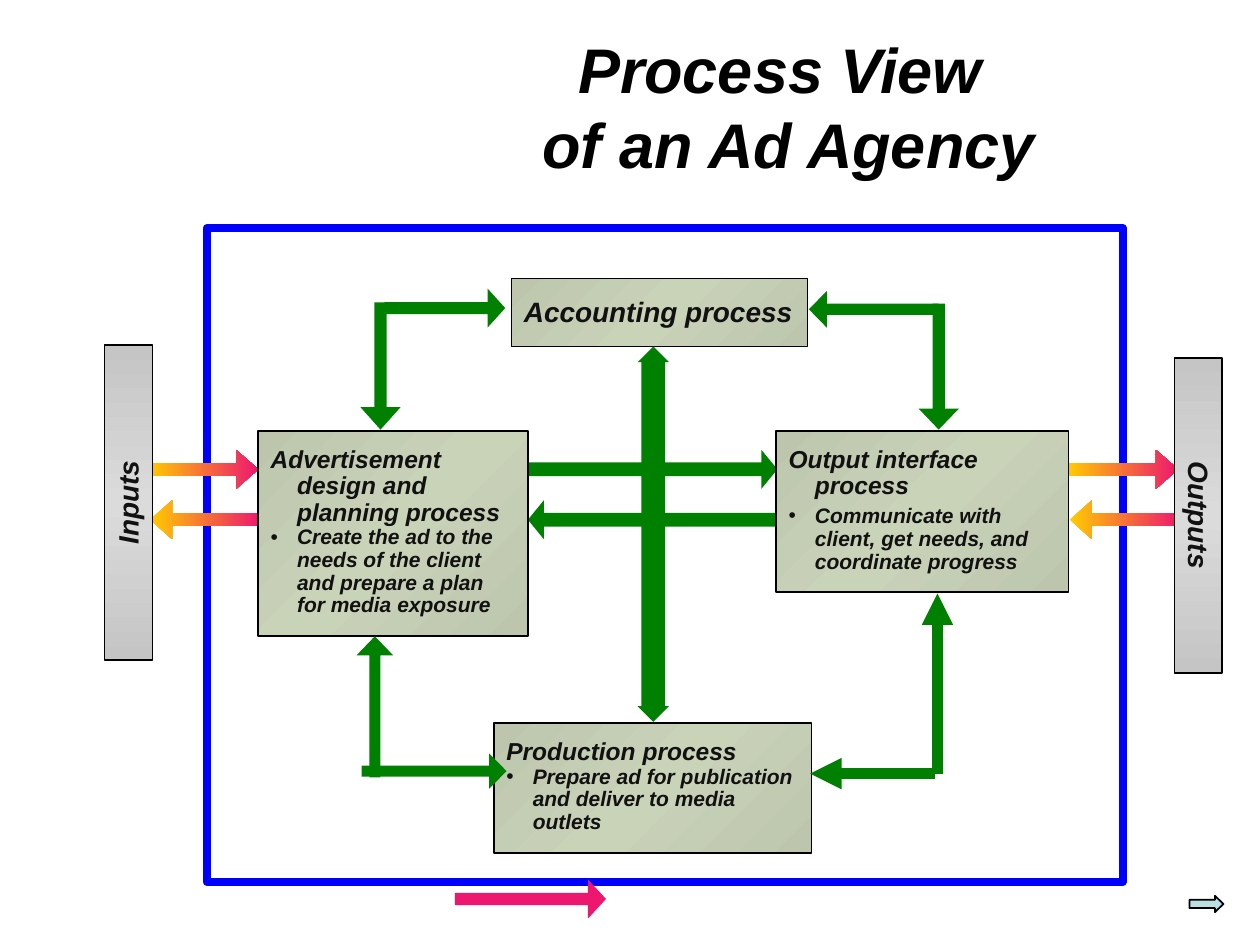
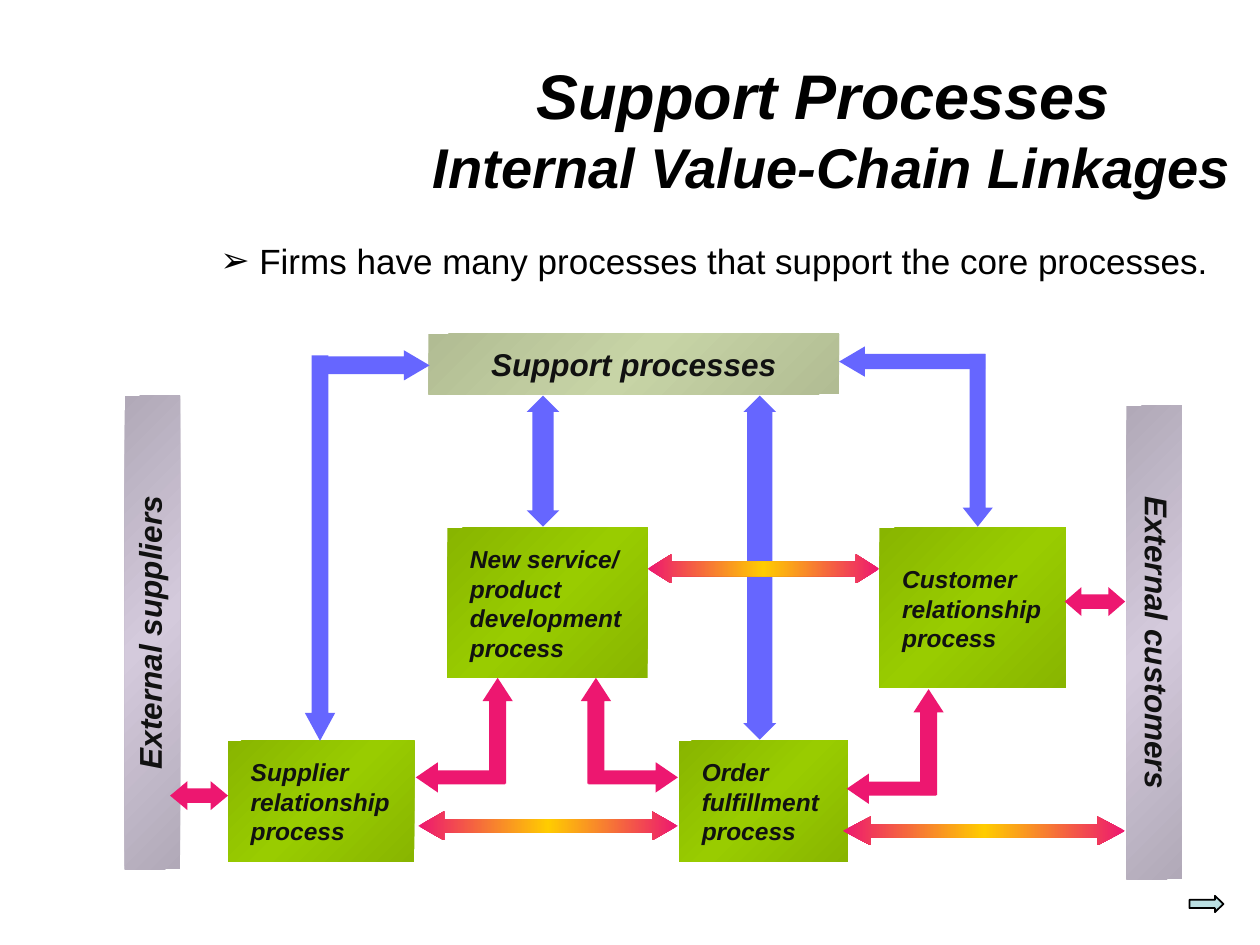
from dataclasses import dataclass

from lxml.etree import SubElement
from pptx import Presentation
from pptx.dml.color import RGBColor
from pptx.enum.shapes import MSO_CONNECTOR, MSO_SHAPE as SHAPE
from pptx.enum.text import MSO_ANCHOR as ANCHOR, MSO_AUTO_SIZE, PP_ALIGN as ALIGN
from pptx.oxml.ns import qn
from pptx.util import Inches, Pt


@dataclass(frozen=True)
class Gradient:
    colors: tuple
    angle: int = 0


@dataclass(frozen=True)
class Theme:
    font: str = "Arial"
    black: str = "000000"
    ink: str = "111111"
    frame: str = "0000FF"
    green: str = "008000"
    blue: str = "6666FF"
    pink: str = "ED1770"
    next_fill: str = "BBE0E3"
    flow: Gradient = Gradient(("FFCC00", "ED1770"))
    exchange: Gradient = Gradient(("ED1770", "FFCC00", "ED1770"))
    sage: Gradient = Gradient(("BDC6AD", "C9D3B8", "BDC6AD"), 45)
    silver: Gradient = Gradient(("C5C5C5", "DBDBDB", "C5C5C5"), 90)
    mauve: Gradient = Gradient(("B1A9B8", "D4CADC", "B1A9B8"), 45)
    olive: Gradient = Gradient(("B1BC93", "C7D4A6", "B1BC93"), 45)
    lime: Gradient = Gradient(("88B500", "99CC00", "88B500"), 45)
    title: int = 36
    subtitle: int = 32
    lead: int = 20
    banner: int = 18
    label: int = 16
    heading: int = 14
    detail: int = 12


THEME = Theme()
RIGHT, LEFT, UP, DOWN = (SHAPE.RIGHT_ARROW, SHAPE.LEFT_ARROW,
                         SHAPE.UP_ARROW, SHAPE.DOWN_ARROW)
ACROSS, UPRIGHT = SHAPE.LEFT_RIGHT_ARROW, SHAPE.UP_DOWN_ARROW


def inches(values):
    return [Inches(value) for value in values]


def paint(shape, fill):
    """Fill with a plain colour or with an evenly stepped Gradient."""
    if isinstance(fill, str):
        shape.fill.solid()
        shape.fill.fore_color.rgb = RGBColor.from_string(fill)
        return
    shape.fill.gradient()
    grad = shape.element.spPr.find(qn("a:gradFill"))
    for child in list(grad):
        grad.remove(child)
    grad.set("rotWithShape", "0")
    stops = SubElement(grad, qn("a:gsLst"))
    for index, color in enumerate(fill.colors):
        position = 100000 * index // (len(fill.colors) - 1)
        stop = SubElement(stops, qn("a:gs"), pos=str(position))
        SubElement(stop, qn("a:srgbClr"), val=color)
    SubElement(grad, qn("a:lin"), ang=str(fill.angle * 60000), scaled="0")


def outline(shape, color, width):
    shape.line.color.rgb = RGBColor.from_string(color)
    shape.line.width = Pt(width)


def add_block(slide, kind, box, fill, outlined=False):
    shape = slide.shapes.add_shape(kind, *inches(box))
    shape.shadow.inherit = False
    paint(shape, fill)
    if outlined:
        outline(shape, THEME.black, 1)
    else:
        shape.line.fill.background()
    return shape


def add_arrow(slide, kind, box, fill, shaft, head, outlined=False):
    """Shaft and head are shares of the arrow's shorter side."""
    arrow = add_block(slide, kind, box, fill, outlined)
    arrow.adjustments[0] = shaft
    arrow.adjustments[1] = head


def add_run(paragraph, text, size, color=THEME.ink, strong=True):
    run = paragraph.add_run()
    run.text = text
    font = run.font
    font.name, font.size = THEME.font, Pt(size)
    font.bold = font.italic = strong
    font.color.rgb = RGBColor.from_string(color)


def hang(paragraph, indent, bullet=None):
    props = paragraph._p.get_or_add_pPr()
    props.set("marL", str(Inches(indent)))
    props.set("indent", str(-Inches(indent)))
    if bullet:
        SubElement(props, qn("a:buFont"), typeface=THEME.font)
        SubElement(props, qn("a:buChar"), char=bullet)


def set_frame(shape, inset_x=0.1, inset_y=0.05, anchor=ANCHOR.TOP, wrap=True):
    frame = shape.text_frame
    frame.word_wrap = wrap
    frame.auto_size = MSO_AUTO_SIZE.NONE
    frame.vertical_anchor = anchor
    frame.margin_left = frame.margin_right = Inches(inset_x)
    frame.margin_top = frame.margin_bottom = Inches(inset_y)
    return frame


def add_label_box(slide, box, text, fill, size, insets, align=ALIGN.LEFT,
                  outlined=False, wrap=True):
    block = add_block(slide, SHAPE.RECTANGLE, box, fill, outlined)
    paragraph = set_frame(block, *insets, wrap=wrap).paragraphs[0]
    paragraph.alignment = align
    add_run(paragraph, text, size)


def add_process_box(slide, box, heading, detail, gap=0):
    block = add_block(slide, SHAPE.RECTANGLE, box, THEME.sage, True)
    frame = set_frame(block, 0.1, 0.13)
    first, second = frame.paragraphs[0], frame.add_paragraph()
    for paragraph in (first, second):
        paragraph.alignment = ALIGN.LEFT
        paragraph.line_spacing = 0.9
    first.space_after = Pt(gap)
    hang(first, 0.21)
    add_run(first, heading, THEME.heading)
    hang(second, 0.21, "•")
    add_run(second, detail, THEME.detail)


def add_side_bar(slide, box, text, rotation, fill, size, inset_y=0.05,
                 spacing=1.0, outlined=False):
    """Draw an upright bar whose text is turned; box is the space it covers."""
    left, top, width, height = box
    shift = (height - width) / 2
    bar = add_block(slide, SHAPE.RECTANGLE,
                    (left - shift, top + shift, height, width), fill, outlined)
    bar.rotation = rotation
    paragraph = set_frame(bar, 0.1, inset_y).paragraphs[0]
    paragraph.alignment = ALIGN.CENTER
    paragraph.line_spacing = spacing
    add_run(paragraph, text, size)


def add_arrow_line(slide, start, end, arrow_end):
    line = slide.shapes.add_connector(MSO_CONNECTOR.STRAIGHT,
                                      *inches(start + end))
    outline(line, THEME.green, 6)
    SubElement(line.line._get_or_add_ln(), qn(arrow_end), type="triangle")
    SubElement(line._element.spPr, qn("a:effectLst"))


def add_frame_half(slide, inner, outer, top=1.81, bottom=7):
    points = [inches(point) for point in
              ((inner, top), (outer, top), (outer, bottom), (inner, bottom))]
    builder = slide.shapes.build_freeform(*points[0])
    builder.add_line_segments(points[1:], close=False)
    half = builder.convert_to_shape()
    half.shadow.inherit = False
    half.fill.background()
    outline(half, THEME.frame, 4.5)


def add_pink_elbow(slide, way, left, top):
    """Join an upright arrow at left, top to a flat one pointing way."""
    flat_left = left - 0.53 if way == LEFT else left + 0.06
    add_arrow(slide, way, (flat_left, top + 0.67, 0.71, 0.24), THEME.pink, 0.46, 0.73)
    add_arrow(slide, UP, (left, top, 0.24, 0.84), THEME.pink, 0.56, 0.77)


def start_slide(deck, title_box, title_lines):
    slide = deck.slides.add_slide(deck.slide_layouts[5])
    title = slide.shapes.title
    title.left, title.top, title.width, title.height = inches(title_box)
    paragraph = set_frame(title, anchor=ANCHOR.MIDDLE).paragraphs[0]
    paragraph.alignment = ALIGN.CENTER
    for index, (text, size) in enumerate(title_lines):
        if index:
            paragraph.add_line_break()
        add_run(paragraph, text, size, THEME.black)
    add_arrow(slide, RIGHT, (9.44, 7.11, 0.27, 0.13), THEME.next_fill,
              0.5, 0.52, outlined=True)
    return slide


def build_agency_slide(deck):
    slide = start_slide(deck, (2.97, 0.42, 6.58, 0.84), (
        ("Process View ", THEME.title), ("of an Ad Agency", THEME.title)))
    add_frame_half(slide, 5.24, 8.91)
    add_frame_half(slide, 5.31, 1.64)
    add_arrow(slide, RIGHT, (3.61, 6.98, 1.2, 0.31), THEME.pink, 0.31, 0.46)

    for left, width, fill, shaft, head in (
            (8.47, 0.88, THEME.flow, 0.32, 0.57),
            (1.17, 0.88, THEME.flow, 0.32, 0.57),
            (4.17, 2, THEME.green, 0.35, 0.41)):
        add_arrow(slide, RIGHT, (left, 3.57, width, 0.31), fill, shaft, head)
        add_arrow(slide, LEFT, (left + 0.02, 3.97, width, 0.31), fill, shaft, head)

    add_label_box(slide, (4.06, 2.21, 2.35, 0.54), "Accounting process", THEME.sage,
                  THEME.label, (0.1, 0.13), outlined=True, wrap=False)
    add_process_box(slide, (3.92, 5.74, 2.52, 1.03), "Production process",
                    "Prepare ad for publication and deliver to media outlets")
    add_process_box(slide, (2.05, 3.42, 2.14, 1.63),
                    "Advertisement design and planning process",
                    "Create the ad to the needs of the client and prepare "
                    "a plan for media exposure")
    add_process_box(slide, (6.16, 3.42, 2.32, 1.28), "Output interface process",
                    "Communicate with client, get needs, and coordinate progress",
                    gap=3)
    for left, top, text, rotation in ((0.83, 2.74, "Inputs", 270),
                                      (9.32, 2.84, "Outputs", 90)):
        add_side_bar(slide, (left, top, 0.38, 2.5), text, rotation,
                     THEME.silver, THEME.label, outlined=True)

    for kind, box, shaft, head in (
            (UPRIGHT, (5.06, 2.75, 0.25, 2.98), 0.48, 0.76),
            (LEFT, (6.42, 2.31, 1.03, 0.29), 0.31, 0.49),
            (DOWN, (7.29, 2.41, 0.32, 1), 0.3, 0.52),
            (RIGHT, (3.05, 2.29, 0.96, 0.31), 0.31, 0.45),
            (DOWN, (2.86, 2.4, 0.32, 1.01), 0.3, 0.56),
            (RIGHT, (2.87, 5.98, 1.15, 0.28), 0.31, 0.49),
            (UP, (2.83, 5.05, 0.29, 1.12), 0.3, 0.52)):
        add_arrow(slide, kind, box, THEME.green, shaft, head)
    add_arrow_line(slide, (6.43, 6.14), (7.42, 6.14), "a:headEnd")
    add_arrow_line(slide, (7.44, 6.14), (7.44, 4.71), "a:tailEnd")


def add_lead_line(slide, box, text):
    lead = slide.shapes.add_textbox(*inches(box))
    paragraph = set_frame(lead).paragraphs[0]
    paragraph.space_before = Pt(4)
    hang(paragraph, 0.31, "➢")
    add_run(paragraph, text, THEME.lead, THEME.black, strong=False)


def build_support_slide(deck):
    slide = start_slide(deck, (3.21, 0.21, 6.79, 1.61), (
        ("Support Processes ", THEME.title),
        ("Internal Value-Chain Linkages", THEME.subtitle)))
    add_lead_line(slide, (1.65, 1.85, 8.08, 0.43),
                  "Firms have many processes that support the core processes.")
    add_arrow(slide, UPRIGHT, (5.9, 3.14, 0.26, 2.73), THEME.blue, 0.45, 0.77)

    for left, top, text, rotation in ((0.99, 3.14, "External suppliers", 270),
                                      (8.94, 3.22, "External customers", 90)):
        add_side_bar(slide, (left, top, 0.44, 3.76), text, rotation,
                     THEME.mauve, THEME.banner, 0.09, 0.85)
    add_label_box(slide, (3.4, 2.65, 3.26, 0.48), "Support processes", THEME.olive,
                  THEME.banner, (0.26, 0.09), ALIGN.CENTER)
    for box, text, inset_y in (
            ((1.81, 5.88, 1.48, 0.96), "Supplier relationship process", 0.13),
            ((5.39, 5.88, 1.34, 0.96), "Order fulfillment process", 0.13),
            ((3.55, 4.19, 1.59, 1.19), "New service/ product development process", 0.13),
            ((6.98, 4.19, 1.48, 1.27), "Customer relationship process", 0.29)):
        add_label_box(slide, box, text, THEME.lime, THEME.heading, (0.18, inset_y))

    for left, top, width, fill, shaft, head in (
            (1.35, 6.2, 0.46, THEME.pink, 0.5, 0.6),
            (8.45, 4.66, 0.48, THEME.pink, 0.5, 0.58),
            (5.14, 4.4, 1.84, THEME.exchange, 0.5, 0.81),
            (3.32, 6.44, 2.06, THEME.exchange, 0.47, 0.89),
            (6.69, 6.48, 2.24, THEME.exchange, 0.47, 0.96)):
        add_arrow(slide, ACROSS, (left, top, width, 0.23), fill, shaft, head)
    for kind, box, shaft, head in (
            (RIGHT, (2.48, 2.78, 0.93, 0.24), 0.59, 0.85),
            (DOWN, (2.42, 2.82, 0.24, 3.06), 0.56, 0.92),
            (LEFT, (6.66, 2.75, 1.16, 0.24), 0.5, 0.85),
            (DOWN, (7.64, 2.81, 0.24, 1.37), 0.53, 0.63),
            (UPRIGHT, (4.18, 3.14, 0.26, 1.04), 0.45, 0.65)):
        add_arrow(slide, kind, box, THEME.blue, shaft, head)
    for way, left, top in ((LEFT, 3.83, 5.38), (RIGHT, 4.61, 5.38),
                           (LEFT, 7.25, 5.47)):
        add_pink_elbow(slide, way, left, top)


def main():
    deck = Presentation()
    deck.slide_width, deck.slide_height = Inches(10), Inches(7.5)
    build_agency_slide(deck)
    build_support_slide(deck)
    deck.save("out.pptx")


if __name__ == "__main__":
    main()
